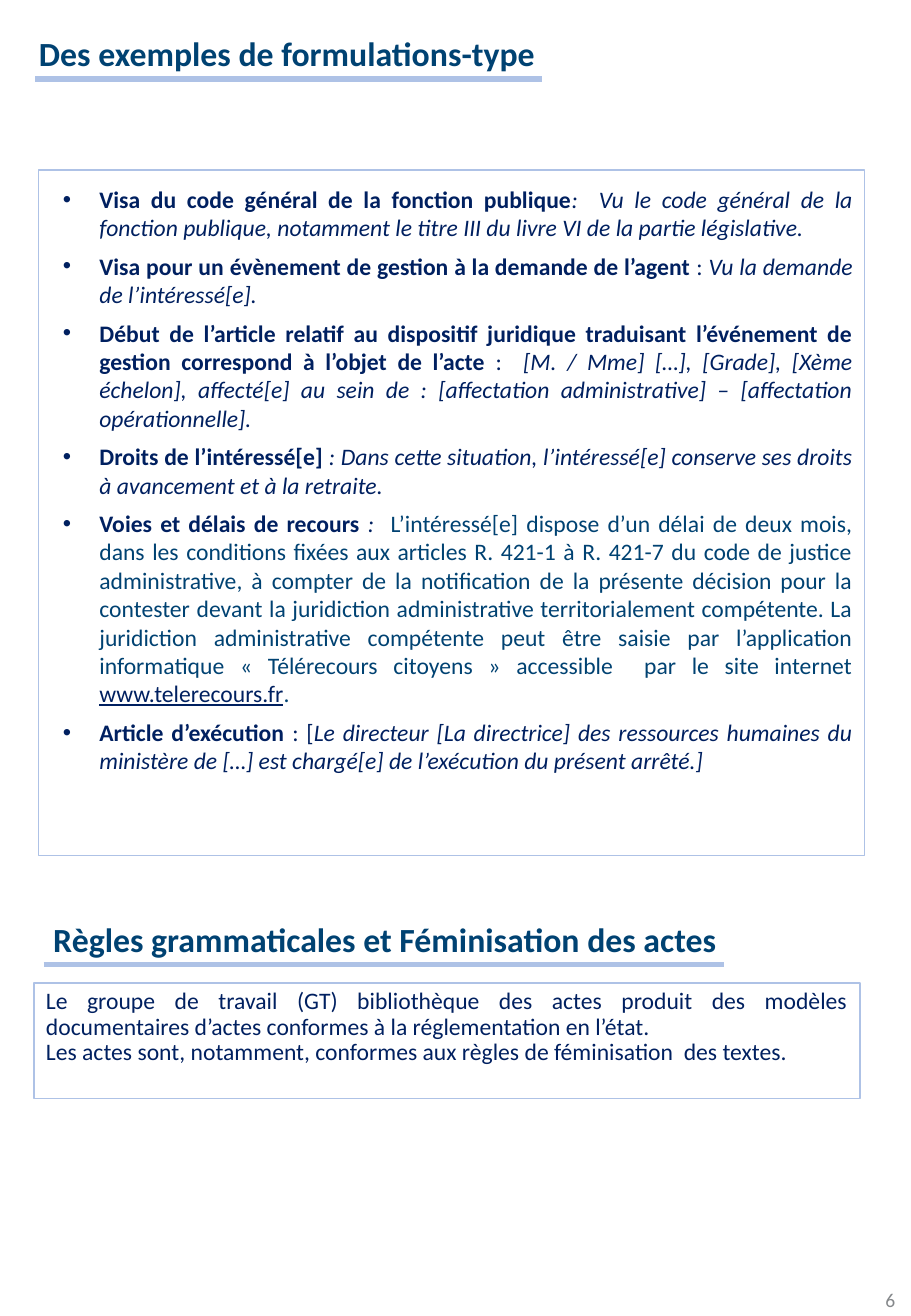
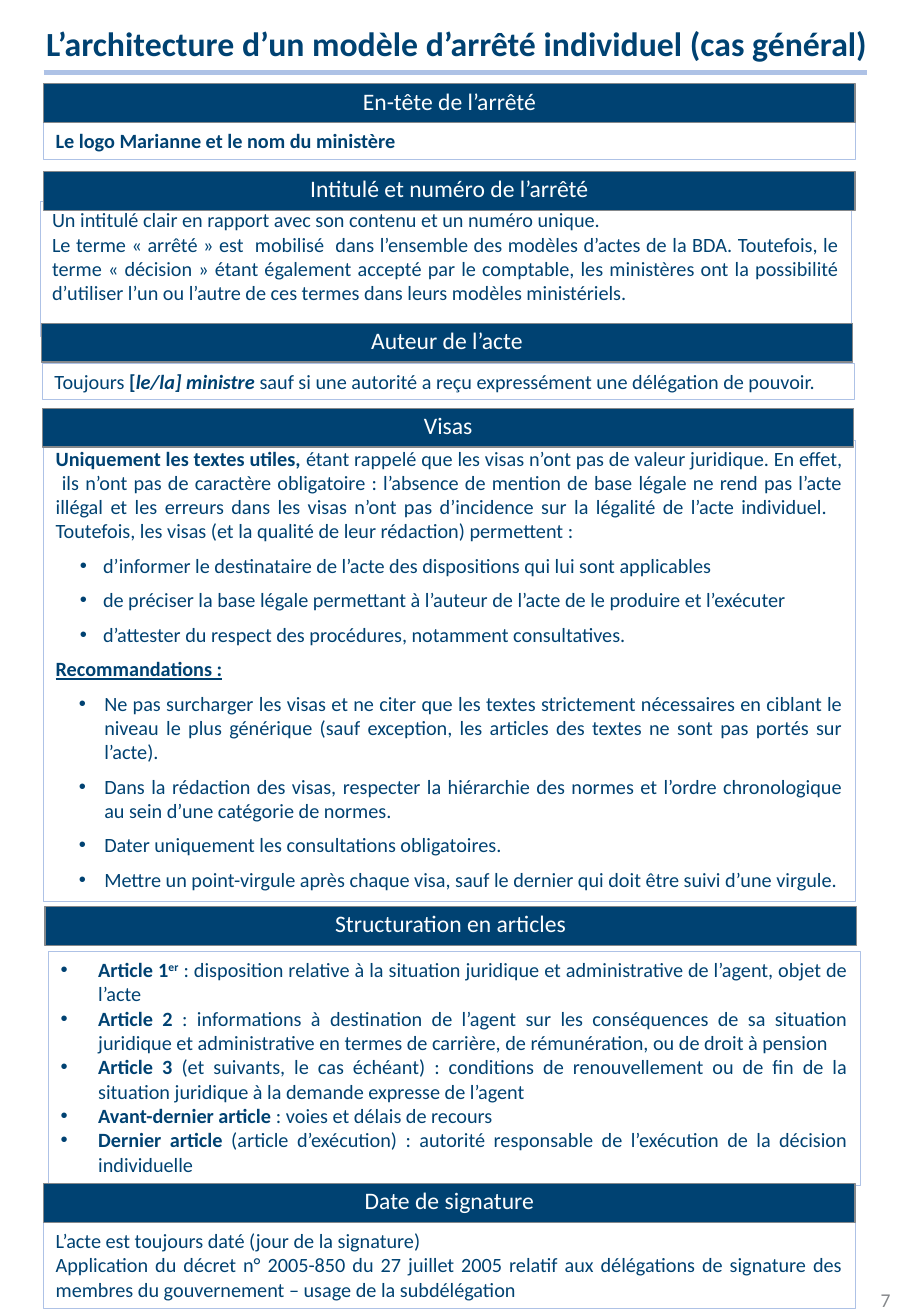
from lxml.etree import SubElement
from pptx import Presentation
from pptx.dml.color import RGBColor as Rgb
from pptx.enum.shapes import MSO_CONNECTOR as Link, MSO_SHAPE as Kind
from pptx.enum.text import MSO_ANCHOR as Anchor, MSO_AUTO_SIZE as Fit, PP_ALIGN as Align
from pptx.oxml.ns import qn
from pptx.util import Inches, Pt

FONT = "Calibri"
COLORS = {
    "teal": "004272",
    "navy": "002060",
    "pale": "AEC2E6",
    "gray": "85888B",
    "white": "FFFFFF",
}


def tint(name):
    return Rgb.from_string(COLORS[name])


def indent(para, left, hang):
    """Give a paragraph a round bullet with a hanging indent in inches."""
    props = para._p.get_or_add_pPr()
    props.set("marL", str(Inches(left)))
    props.set("indent", str(-Inches(hang)))
    SubElement(props, qn("a:buFont")).set("typeface", "Arial")
    SubElement(props, qn("a:buChar")).set("char", "•")


def write(frame, *paras, size=12, color="teal", align=Align.JUSTIFY,
          marks="", gap=0, line=None, bullet=None):
    """Append paragraphs to a frame.

    A paragraph is a string or a list of runs; a run is a string or a
    (text, marks) pair, with marks b, i, u, s (superscript), t (teal).
    """
    for runs in paras:
        first = not frame.text
        para = frame.paragraphs[0] if first else frame.add_paragraph()
        para.alignment = align
        if bullet:
            indent(para, *bullet)
        if line:
            para.line_spacing = line
        if gap and not first:
            para.space_before = Pt(gap)
        for run in [runs] if isinstance(runs, str) else runs:
            text, flags = (run, marks) if isinstance(run, str) else run
            if text == "\n":
                para.add_line_break()
                continue
            part = para.add_run()
            part.text = text
            font = part.font
            font.name, font.size = FONT, Pt(size)
            font.bold, font.italic = "b" in flags, "i" in flags
            font.underline = "u" in flags
            font.color.rgb = tint("teal" if "t" in flags else color)
            if "s" in flags:
                part._r.get_or_add_rPr().set("baseline", "30000")


class Deck:
    def __init__(self, width, height):
        self.file = Presentation()
        self.file.slide_width = Inches(width)
        self.file.slide_height = Inches(height)
        self.slide = None

    def setup(self, frame, left=0.1, top=0.05):
        frame.word_wrap = True
        frame.auto_size = Fit.NONE
        frame.vertical_anchor = Anchor.TOP
        frame.margin_left, frame.margin_right = Inches(left), Inches(0.1)
        frame.margin_top, frame.margin_bottom = Inches(top), Inches(0.05)
        return frame

    def page(self, title, left, top, width):
        self.slide = self.file.slides.add_slide(self.file.slide_layouts[5])
        head = self.slide.shapes.title
        head.left, head.top = Inches(left), Inches(top)
        head.width, head.height = Inches(width), Inches(0.44)
        self.head(self.setup(head.text_frame, left=0), title)

    def head(self, frame, text):
        write(frame, text, size=20, marks="b", align=Align.LEFT)

    def text(self, *at):
        box = self.slide.shapes.add_textbox(*map(Inches, at))
        return self.setup(box.text_frame)

    def number(self, text, left):
        frame = self.text(left, 10.6, 1.75, 0.19)
        frame.vertical_anchor = Anchor.MIDDLE
        write(frame, text, size=11.6, color="gray", align=Align.RIGHT)

    def rule(self, left, right, y):
        link = self.slide.shapes.add_connector(
            Link.STRAIGHT, *map(Inches, (left, y, right, y)))
        link.line.color.rgb = tint("pale")
        link.line.width = Pt(3)
        SubElement(link._element.spPr, qn("a:effectLst"))

    def box(self, *at, fill=None, edge="pale", thick=0.25, top=0.05):
        shape = self.slide.shapes.add_shape(Kind.RECTANGLE, *map(Inches, at))
        shape.shadow.inherit = False
        if fill:
            shape.fill.solid()
            shape.fill.fore_color.rgb = tint(fill)
        else:
            shape.fill.background()
        shape.line.color.rgb = tint(edge)
        shape.line.width = Pt(thick)
        return self.setup(shape.text_frame, top=top)

    def panel(self, title, bar, body):
        """Draw a body box under a title bar and return the body's frame."""
        left, top, height = body
        frame = self.box(left, top, 6.68, height)
        band = self.box(*bar, 6.68, 0.32, fill="teal", edge="gray", thick=0.75)
        write(band, title, size=14, color="white", align=Align.CENTER, line=0.9)
        return frame


def phrases(deck):
    deck.page("Des exemples de formulations-type", 0.32, 0.22, 6.14)
    deck.rule(0.29, 4.46, 0.65)
    write(
        deck.box(0.32, 1.4, 6.8, 5.64, thick=0.75, top=0.12),
        [("Visa du code général de la fonction publique", "b"),
         (":  Vu le code général de la fonction publique, notamment le titre III "
          "du livre VI de la partie législative.", "i")],
        [("Visa pour un évènement de gestion à la demande de l’agent", "b"),
         " : ", ("Vu la demande de l’intéressé[e].", "i")],
        [("Début de l’article relatif au dispositif juridique traduisant "
          "l’événement de gestion correspond à l’objet de l’acte", "b"),
         " : ",
         (" [M. / Mme] […], [Grade], [Xème échelon], affecté[e] au sein de : "
          "[affectation administrative] – [affectation opérationnelle].", "i")],
        [("Droits de l’intéressé[e] ", "b"),
         (": Dans cette situation, l’intéressé[e] conserve ses droits à "
          "avancement et à la retraite.", "i")],
        [("Voies et délais de recours ", "b"), (": ", "i"),
         (" L’intéressé[e] dispose d’un délai de deux mois, dans les conditions "
          "fixées aux articles R. 421-1 à R. 421-7 du code de justice "
          "administrative, à compter de la notification de la présente décision "
          "pour la contester devant la juridiction administrative "
          "territorialement compétente. La juridiction administrative compétente "
          "peut être saisie par l’application informatique « Télérecours "
          "citoyens » accessible  par le site internet ", "t"),
         ("www.telerecours.fr", "u"), (".", "t")],
        [("Article d’exécution", "b"), " : [",
         ("Le directeur [La directrice] des ressources humaines du ministère de "
          "[…] est chargé[e] de l’exécution du présent arrêté.]", "i")],
        size=14, color="navy", gap=6, bullet=(0.4, 0.3))

    deck.head(deck.text(0.34, 7.51, 6.8, 0.59),
              "Règles grammaticales et Féminisation des actes")
    deck.rule(0.36, 5.96, 7.94)
    write(
        deck.box(0.28, 8.09, 6.8, 0.95, thick=0.75),
        "Le groupe de travail (GT) bibliothèque des actes produit des modèles "
        "documentaires d’actes conformes à la réglementation en l’état.",
        "Les actes sont, notamment, conformes aux règles de féminisation  des "
        "textes.",
        size=14, color="navy", line=0.9)
    deck.number("6", 5.72)


def model(deck):
    deck.page("L’architecture d’un modèle d’arrêté individuel (cas général)",
              0.38, 0.14, 7)
    deck.rule(0.36, 7.14, 0.6)

    write(deck.panel("En-tête de l’arrêté", (0.36, 0.69), (0.36, 1.01, 0.3)),
          "Le logo Marianne et le nom du ministère", marks="b")

    write(
        deck.panel("Intitulé et numéro de l’arrêté", (0.36, 1.41),
                   (0.33, 1.66, 1.11)),
        "Un intitulé clair en rapport avec son contenu et un numéro unique.",
        "Le terme « arrêté » est  mobilisé  dans l’ensemble des modèles d’actes "
        "de la BDA. Toutefois, le terme « décision » étant également accepté par "
        "le comptable, les ministères ont la possibilité d’utiliser l’un ou "
        "l’autre de ces termes dans leurs modèles ministériels.")

    write(
        deck.panel("Auteur de l’acte", (0.34, 2.66), (0.35, 2.99, 0.3)),
        ["Toujours ", ("[", "b"), ("le/la] ministre ", "bi"),
         "sauf si une autorité a reçu expressément une délégation de pouvoir."])

    visas = deck.panel("Visas", (0.35, 3.36), (0.36, 3.62, 3.8))
    write(
        visas,
        [("Uniquement les textes utiles, ", "b"),
         "étant rappelé que les visas n’ont pas de valeur juridique. En effet,  "
         "ils n’ont pas de caractère obligatoire : l’absence de mention de base "
         "légale ne rend pas l’acte illégal et les erreurs dans les visas n’ont "
         "pas d’incidence sur la légalité de l’acte individuel.  ",
         "\n",
         "Toutefois, les visas (et la qualité de leur rédaction) permettent :"])
    write(
        visas,
        "d’informer le destinataire de l’acte des dispositions qui lui sont "
        "applicables",
        "de préciser la base légale permettant à l’auteur de l’acte de le "
        "produire et l’exécuter",
        "d’attester du respect des procédures, notamment consultatives.",
        gap=6, bullet=(0.39, 0.19))
    write(visas, "Recommandations :", marks="bu", gap=6)
    write(
        visas,
        "Ne pas surcharger les visas et ne citer que les textes strictement "
        "nécessaires en ciblant le niveau le plus générique (sauf exception, les "
        "articles des textes ne sont pas portés sur l’acte).",
        "Dans la rédaction des visas, respecter la hiérarchie des normes et "
        "l’ordre chronologique au sein d’une catégorie de normes.",
        "Dater uniquement les consultations obligatoires.",
        "Mettre un point-virgule après chaque visa, sauf le dernier qui doit "
        "être suivi d’une virgule.",
        gap=6, bullet=(0.4, 0.21))

    write(
        deck.panel("Structuration en articles", (0.37, 7.46), (0.4, 7.83, 1.92)),
        [("Article 1", "b"), ("er", "bs"),
         " : disposition relative à la situation juridique et administrative de "
         "l’agent, objet de l’acte"],
        [("Article 2", "b"),
         " : informations à destination de l’agent sur les conséquences de sa "
         "situation juridique et administrative en termes de carrière, de "
         "rémunération, ou de droit à pension"],
        [("Article 3 ", "b"),
         "(et suivants, le cas échéant) : conditions de renouvellement ou de fin "
         "de la situation juridique à la demande expresse de l’agent"],
        [("Avant-dernier article ", "b"), ": voies et délais de recours"],
        [("Dernier article ", "b"),
         "(article d’exécution) : autorité responsable de l’exécution de la "
         "décision individuelle"],
        bullet=(0.31, 0.31))

    write(
        deck.panel("Date de signature", (0.36, 9.74), (0.36, 10.06, 0.71)),
        "L’acte est toujours daté (jour de la signature)",
        "Application du décret n° 2005-850 du 27 juillet 2005 relatif aux "
        "délégations de signature des membres du gouvernement – usage de la "
        "subdélégation")
    deck.number("7", 5.68)


def main():
    deck = Deck(7.5, 10.83)
    phrases(deck)
    model(deck)
    deck.file.save("out.pptx")


if __name__ == "__main__":
    main()
